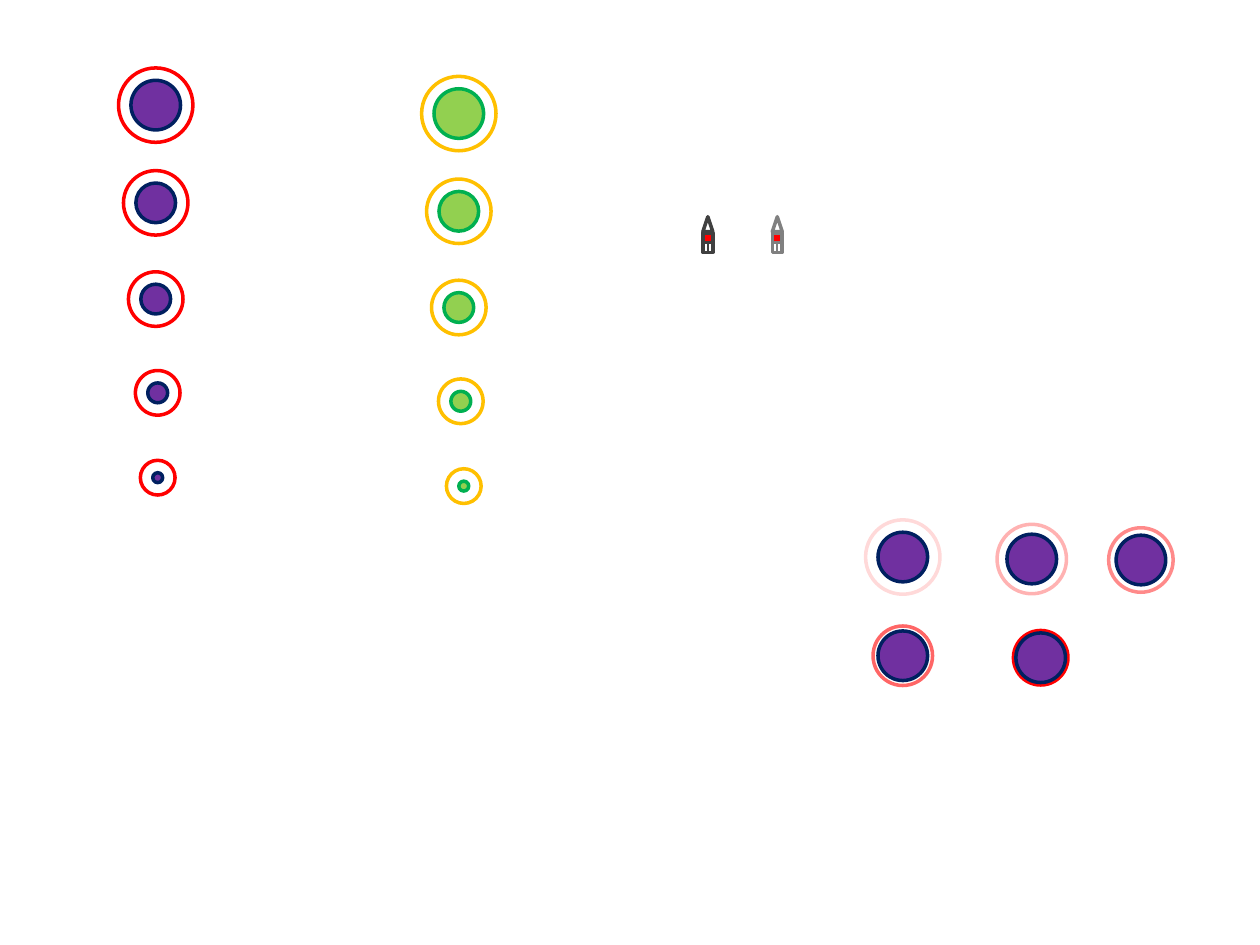
from lxml.etree import SubElement
from pptx import Presentation
from pptx.dml.color import RGBColor
from pptx.enum.shapes import MSO_CONNECTOR, MSO_SHAPE
from pptx.oxml.ns import qn
from pptx.util import Cm, Pt

RED, PURPLE, NAVY = "FF0000", "7030A0", "002060"
AMBER, LIME, GREEN = "FFC000", "92D050", "00B050"
WHITE, DARK_GREY, GREY = "FFFFFF", "404040", "808080"


def rgb(hex_color):
    return RGBColor.from_string(hex_color)


def add_outlined(s, kind, x, y, w, h, line, fill=None):
    """Add a preset shape in cm; without a fill colour it stays hollow."""
    sp = s.shapes.add_shape(kind, Cm(x), Cm(y), Cm(w), Cm(h))
    sp.shadow.inherit = False
    if fill:
        sp.fill.solid()
        sp.fill.fore_color.rgb = rgb(fill)
    else:
        sp.fill.background()
    sp.line.color.rgb = rgb(line)
    sp.line.width = Pt(2)
    return sp


def set_line_opacity(sp, percent):
    color = sp.element.spPr.find(qn("a:ln")).find(".//" + qn("a:srgbClr"))
    SubElement(color, qn("a:alpha")).set("val", str(percent * 1000))


def add_circle(s, cx, cy, size, line, fill=None):
    return add_outlined(s, MSO_SHAPE.OVAL, cx - size / 2, cy - size / 2,
                        size, size, line, fill)


def add_target(s, cx, cy, ring_size, disc_size, ring, edge, fill):
    """Draw a ring around a disc with the same centre and return the ring."""
    ring_sp = add_circle(s, cx, cy, ring_size, ring)
    add_circle(s, cx, cy, disc_size, edge, fill)
    return ring_sp


def add_shrinking_column(s, left, top, last_x, ring, edge, fill):
    """Stack targets whose ring and disc both lose 0.2 cm at each step."""
    centres = [(0.75, 0.75), (0.75, 2.72), (0.75, 4.66), (0.79, 6.55), (last_x, 8.26)]
    for i, (x, y) in enumerate(centres):
        ring_size = 1.5 - 0.2 * i
        add_target(s, left + x, top + y, ring_size, ring_size - 0.5, ring, edge, fill)


def add_closing_rings(s, left, top):
    """Place equal discs whose rings tighten and become more opaque."""
    steps = [(0.75, 0.75, 15), (3.35, 0.79, 30), (5.55, 0.81, 45),
             (0.75, 2.74, 60), (3.53, 2.78, 100)]
    for i, (x, y, opacity) in enumerate(steps):
        ring_sp = add_target(s, left + x, top + y, 1.5 - 0.1 * i, 1, RED, NAVY, PURPLE)
        if opacity < 100:
            set_line_opacity(ring_sp, opacity)


def add_boat(s, left, top, color):
    parts = [(MSO_SHAPE.RECTANGLE, 0.33, 0.2, RED),
             (MSO_SHAPE.ISOSCELES_TRIANGLE, 0, 0.3, WHITE),
             (MSO_SHAPE.RECTANGLE, 0.52, 0.2, WHITE)]
    for kind, y, height, fill in parts:
        add_outlined(s, kind, left, top + y, 0.2, height, color, fill)
    x = Cm(left + 0.1)
    divider = s.shapes.add_connector(MSO_CONNECTOR.STRAIGHT,
                                     x, Cm(top + 0.53), x, Cm(top + 0.73))
    divider.line.color.rgb = rgb(color)
    divider.line.width = Pt(1)
    SubElement(divider.element.spPr, qn("a:effectLst"))


def main():
    prs = Presentation()
    prs.slide_width, prs.slide_height = Cm(25.4), Cm(19.05)
    s = prs.slides.add_slide(prs.slide_layouts[6])
    add_shrinking_column(s, 2.39, 1.37, 0.79, RED, NAVY, PURPLE)
    add_shrinking_column(s, 8.5, 1.54, 0.85, AMBER, GREEN, LIME)
    add_boat(s, 14.17, 4.37, DARK_GREY)
    add_boat(s, 15.57, 4.37, GREY)
    add_closing_rings(s, 17.45, 10.48)
    prs.save("out.pptx")


if __name__ == "__main__":
    main()
